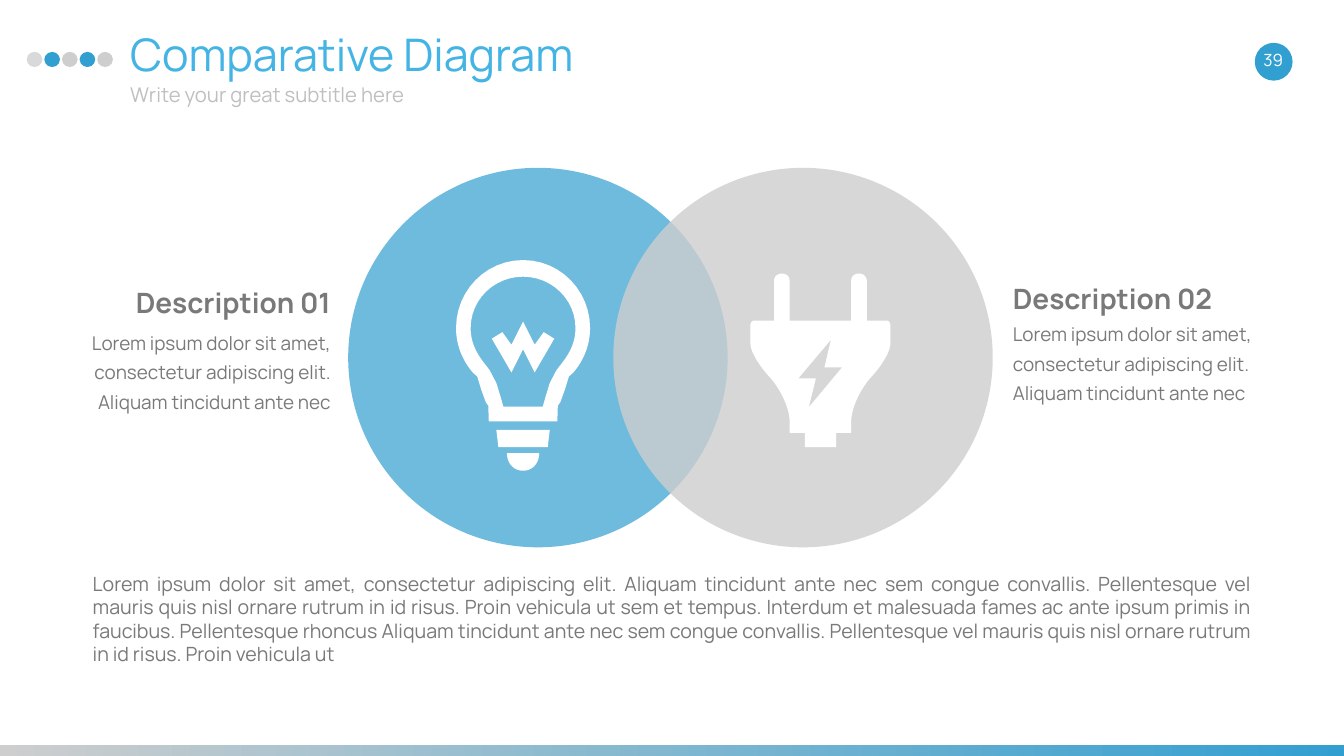
from lxml import etree
from pptx import Presentation
from pptx.dml.color import RGBColor
from pptx.enum.shapes import MSO_SHAPE
from pptx.enum.text import MSO_ANCHOR, PP_ALIGN
from pptx.oxml.ns import qn
from pptx.util import Inches, Pt

OVAL, RECTANGLE = MSO_SHAPE.OVAL, MSO_SHAPE.RECTANGLE
TOP, MIDDLE = MSO_ANCHOR.TOP, MSO_ANCHOR.MIDDLE
LEFT, RIGHT = PP_ALIGN.LEFT, PP_ALIGN.RIGHT
CENTER, JUSTIFY = PP_ALIGN.CENTER, PP_ALIGN.JUSTIFY

FONT = "Manrope"
COLORS = {
    "blue": "329FD1",
    "title": "43B4E3",
    "gray": "CECECE",
    "light": "D9D9D9",
    "subtitle": "BFBFBF",
    "text": "797979",
    "white": "FFFFFF",
}
WIDE_INSETS = (0.27, 0.13)
SHORT_TEXT = ("Lorem ipsum dolor sit amet, consectetur adipiscing elit. "
              "Aliquam tincidunt ante nec")
LONG_TEXT = (
    "Lorem ipsum dolor sit amet, consectetur adipiscing elit. Aliquam tincidunt "
    "ante nec sem congue convallis. Pellentesque vel mauris quis nisl ornare rutrum "
    "in id risus. Proin vehicula ut sem et tempus. Interdum et malesuada fames ac "
    "ante ipsum primis in faucibus. Pellentesque rhoncus Aliquam tincidunt ante nec "
    "sem congue convallis. Pellentesque vel mauris quis nisl ornare rutrum in id "
    "risus. Proin vehicula ut"
)

# Right halves of the icons as (offset from axis, y); six numbers make a curve
BULB_AXIS = 10.38
BULB_HALVES = [
    # Glass, outside and inside
    [(0, 5.16), (0.74, 5.16, 1.33, 5.77, 1.33, 6.51),
     (1.33, 6.84, 1.21, 7.14, 1, 7.39), (0.91, 7.47), (0.83, 7.73),
     (0.74, 7.98), (0.69, 8.05), (0.68, 8.36)],
    [(0, 5.49), (0.57, 5.49, 1.04, 5.94, 1.04, 6.51),
     (1.04, 6.76, 0.95, 6.97, 0.79, 7.18), (0.66, 7.35), (0.53, 7.6),
     (0.45, 7.86), (0.39, 8.07)],
    # Filament, screw and cap
    [(0, 6.38), (0.23, 6.84), (0.41, 6.59), (0.62, 6.72), (0.23, 7.39), (0, 6.93)],
    [(0.53, 8.53), (0.49, 8.87)],
    [(0.32, 8.99), (0.32, 9.2, 0.18, 9.34, 0, 9.34)],
]
PLUG_AXIS = 16.28
PLUG_HALF = [
    (0, 6.36), (0.61, 6.36), (0.61, 5.57), (0.61, 5.38, 0.92, 5.38, 0.92, 5.57),
    (0.92, 6.36), (1.31, 6.36), (1.36, 6.36, 1.39, 6.41, 1.39, 6.46), (1.39, 6.81),
    (1.39, 7, 1.17, 7.31, 1, 7.49), (0.85, 7.65, 0.61, 8.05, 0.61, 8.37),
    (0.61, 8.59), (0.31, 8.59), (0.31, 8.87),
]
BOLT = [(16.49, 6.74), (16.36, 7.29), (16.71, 7.29),
        (16.05, 8.08), (16.19, 7.51), (15.84, 7.51)]


def color(name):
    return RGBColor.from_string(COLORS[name])


def paint(shape, fill, opacity=100):
    shape.shadow.inherit = False
    shape.line.fill.background()
    shape.fill.solid()
    shape.fill.fore_color.rgb = color(fill)
    if opacity < 100:
        tint = shape.fill._xPr.find(qn("a:solidFill"))[0]
        etree.SubElement(tint, qn("a:alpha")).set("val", str(opacity * 1000))


def add_oval(page, left, top, width, height, fill, opacity=100):
    oval = page.shapes.add_shape(
        OVAL, Inches(left), Inches(top), Inches(width), Inches(height))
    paint(oval, fill, opacity)


def add_gradient_bar(page, left, top, width, height, names):
    bar = page.shapes.add_shape(
        RECTANGLE, Inches(left), Inches(top), Inches(width), Inches(height))
    bar.shadow.inherit = False
    bar.line.fill.background()
    bar.fill.gradient()
    bar.fill.gradient_angle = 0
    for position, (stop, name) in enumerate(zip(bar.fill.gradient_stops, names)):
        stop.position = position
        stop.color.rgb = color(name)


def add_text(page, text, left, top, width, height, *, size, tint="text", bold=False,
             align=LEFT, anchor=MIDDLE, insets=(0.1, 0.05), spacing=None):
    box = page.shapes.add_textbox(
        Inches(left), Inches(top), Inches(width), Inches(height))
    frame = box.text_frame
    frame.word_wrap = True
    frame.vertical_anchor = anchor
    frame.margin_left = frame.margin_right = Inches(insets[0])
    frame.margin_top = frame.margin_bottom = Inches(insets[1])
    para = frame.paragraphs[0]
    para.alignment = align
    if spacing:
        para.line_spacing = spacing
    span = para.add_run()
    span.text = text
    span.font.name = FONT
    span.font.size = Pt(size)
    span.font.bold = bold
    span.font.color.rgb = color(tint)


def flatten(steps, pieces=12):
    """Turn points and cubic curves into a list of points."""
    points = []
    for step in steps:
        if len(step) == 2:
            points.append(step)
            continue
        controls = [points[-1], step[:2], step[2:4], step[4:]]
        for piece in range(1, pieces + 1):
            t = piece / pieces
            weights = ((1 - t) ** 3, 3 * t * (1 - t) ** 2, 3 * t * t * (1 - t), t ** 3)
            points.append(tuple(
                sum(w * point[axis] for w, point in zip(weights, controls))
                for axis in (0, 1)))
    return points


def mirror(half, axis):
    points = flatten(half)
    return ([(axis + x, y) for x, y in points]
            + [(axis - x, y) for x, y in reversed(points)])


def add_icon(page, contours):
    builder = None
    for contour in contours:
        points = [(Inches(x), Inches(y)) for x, y in contour]
        if builder is None:
            builder = page.shapes.build_freeform(*points[0])
        else:
            builder.move_to(*points[0])
        builder.add_line_segments(points[1:], close=True)
    paint(builder.convert_to_shape(), "white")


def add_description(page, title, left, top, body_left, body_top, align):
    add_text(page, title, left, top, 5.62, 0.67, size=40, bold=True,
             align=align, insets=(0.1, 0))
    add_text(page, SHORT_TEXT, body_left, body_top, 5.25, 1.85, size=27,
             align=align, spacing=1.3)


def main():
    deck = Presentation()
    deck.slide_width, deck.slide_height = Inches(26.67), Inches(15)
    page = deck.slides.add_slide(deck.slide_layouts[6])

    # Footer bar, header dots and number badge
    add_gradient_bar(page, 0, 14.79, 26.67, 0.21, ("gray", "blue"))
    for index, fill in enumerate(("light", "blue", "gray", "blue", "gray")):
        add_oval(page, 0.53 + index * 0.35, 1.03, 0.31, 0.3, fill)
    add_oval(page, 24.9, 0.85, 0.75, 0.75, "blue")

    # Side descriptions
    add_description(page, "Description 02", 20, 5.58, 20, 6.22, LEFT)
    add_description(page, "Description 01", 1.04, 5.67, 1.41, 6.39, RIGHT)

    # Overlapping circles with icons
    add_oval(page, 6.91, 3.33, 7.53, 7.53, "blue", opacity=70)
    add_oval(page, 12.17, 3.33, 7.53, 7.53, "gray", opacity=80)
    add_icon(page, [mirror(PLUG_HALF, PLUG_AXIS), BOLT])
    add_icon(page, [mirror(half, BULB_AXIS) for half in BULB_HALVES])

    # Summary, heading and page number
    add_text(page, LONG_TEXT, 1.57, 11.2, 23.52, 2.15, size=28,
             align=JUSTIFY, insets=WIDE_INSETS)
    add_text(page, "Comparative Diagram", 2.31, 0.41, 21.25, 1.6, size=64,
             tint="title", anchor=TOP, insets=WIDE_INSETS)
    add_text(page, "Write your great subtitle here", 2.31, 1.5, 21.25, 0.85, size=29,
             tint="subtitle", anchor=TOP, insets=WIDE_INSETS)
    add_text(page, "39", 24.68, 0.78, 1.17, 0.8, size=24, tint="white",
             align=CENTER, insets=WIDE_INSETS)

    deck.save("out.pptx")


if __name__ == "__main__":
    main()
